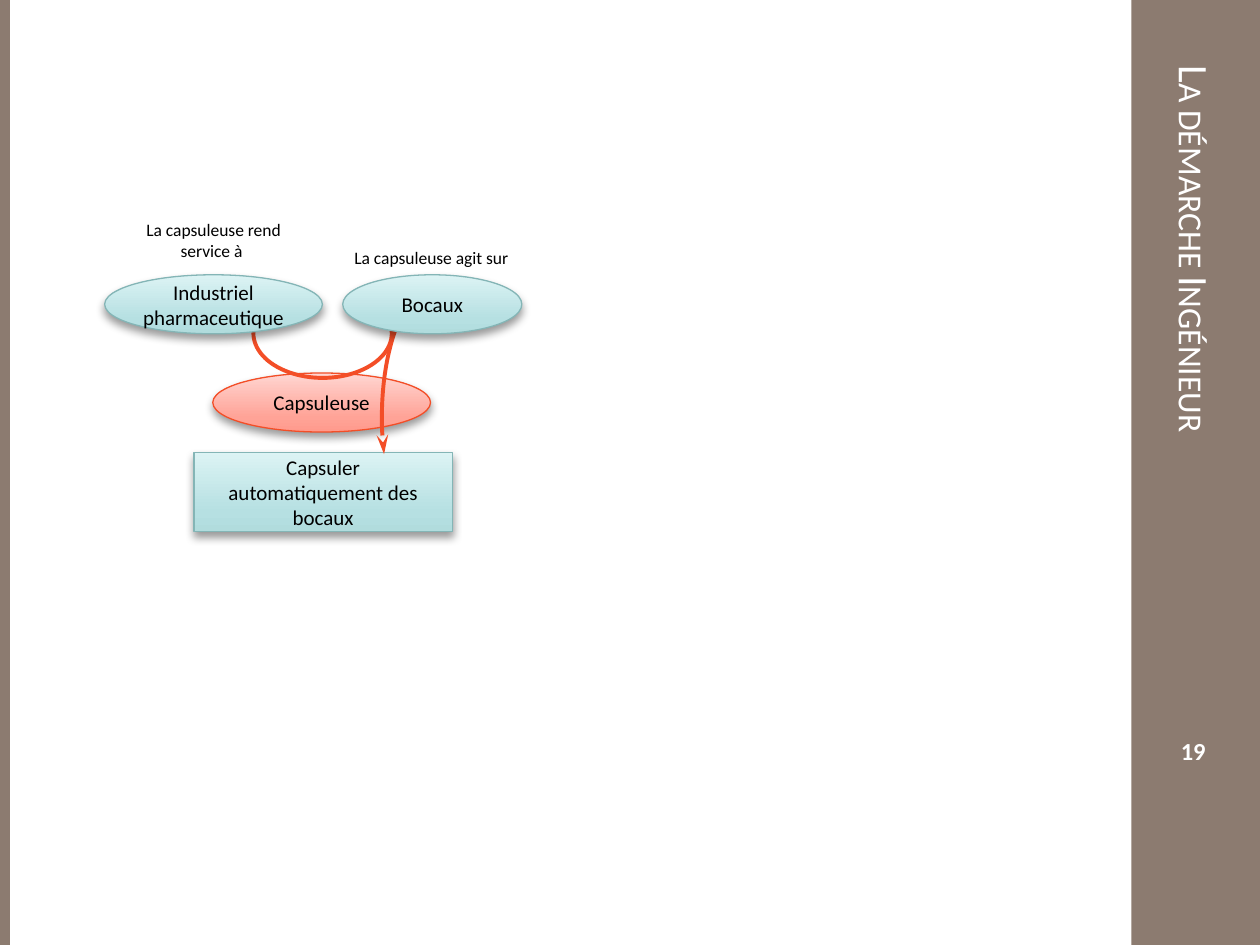
from dataclasses import dataclass

from lxml import etree
from pptx import Presentation
from pptx.dml.color import RGBColor
from pptx.enum.shapes import MSO_SHAPE
from pptx.enum.text import MSO_ANCHOR, MSO_AUTO_SIZE, PP_ALIGN
from pptx.oxml import parse_xml
from pptx.oxml.ns import nsdecls, qn
from pptx.util import Cm, Pt

RECT, OVAL, ARC = MSO_SHAPE.RECTANGLE, MSO_SHAPE.OVAL, MSO_SHAPE.ARC
TOP, MIDDLE = MSO_ANCHOR.TOP, MSO_ANCHOR.MIDDLE
LEFT, CENTER = PP_ALIGN.LEFT, PP_ALIGN.CENTER
NO_FIT = MSO_AUTO_SIZE.NONE
TITLE_ONLY = 5


@dataclass(frozen=True)
class Theme:
    font: str = "Calibri"
    band: str = "8C7B70"
    light: str = "FFFFFF"
    dark: str = "000000"
    accent: str = "F34E27"
    red: tuple = ("F34E27", ("FF9A8C", "FFA397", "FFD6D2"))
    teal: tuple = ("84B5B6", ("B1DCDD", "B6E0E2", "DCF3F4"))
    title: int = 24
    number: int = 14
    node: int = 12
    label: int = 10
    outline: float = 0.75
    link: float = 2.25


THEME = Theme()
STOPS = (0, 25, 100)


def rgb(value):
    return RGBColor.from_string(value)


def place(box, x, y, w, h):
    return Cm(box[0] + x), Cm(box[1] + y), Cm(w), Cm(h)


def write(sp, text, size, color, align=CENTER, anchor=MIDDLE, inset=None, bold=False):
    tf = sp.text_frame
    tf.text = text
    frame = {"word_wrap": True, "auto_size": NO_FIT, "vertical_anchor": anchor}
    if inset is not None:
        for side in ("left", "right", "top", "bottom"):
            frame[f"margin_{side}"] = Cm(inset)
    for name, value in frame.items():
        setattr(tf, name, value)
    p = tf.paragraphs[0]
    p.alignment = align
    r = p.runs[0]
    for name, value in {"name": THEME.font, "size": Pt(size), "bold": bold}.items():
        setattr(r.font, name, value)
    r.font.color.rgb = rgb(color)
    return r


def shade(sp, colors):
    stops = "".join(
        f'<a:gs pos="{pos * 1000}"><a:srgbClr val="{color}"/></a:gs>'
        for pos, color in zip(STOPS, colors)
    )
    sp.fill.background()
    pr = sp._element.spPr
    pr.replace(pr.find(qn("a:noFill")), parse_xml(
        f'<a:gradFill {nsdecls("a")} rotWithShape="1"><a:gsLst>{stops}</a:gsLst>'
        '<a:lin ang="16200000" scaled="0"/></a:gradFill>'
    ))


def drop_shadow(sp):
    sp.shadow.inherit = False
    sp._element.spPr.find(qn("a:effectLst")).append(parse_xml(
        f'<a:outerShdw {nsdecls("a")} blurRad="{Pt(5.2)}" dist="{Pt(3)}" '
        'dir="5400000" rotWithShape="0">'
        f'<a:srgbClr val="{THEME.dark}"><a:alpha val="40000"/></a:srgbClr></a:outerShdw>'
    ))


def add_node(s, box, kind, text, palette, inset=None):
    sp = s.shapes.add_shape(kind, *box)
    line, colors = palette
    shade(sp, colors)
    sp.line.color.rgb = rgb(line)
    sp.line.width = Pt(THEME.outline)
    drop_shadow(sp)
    write(sp, text, THEME.node, THEME.dark, inset=inset)


def add_arc(s, box, angles, arrow=False):
    sp = s.shapes.add_shape(ARC, *box)
    sp.shadow.inherit = False
    sp.fill.background()
    sp.line.color.rgb = rgb(THEME.accent)
    sp.line.width = Pt(THEME.link)
    for i, angle in enumerate(angles):
        sp.adjustments[i] = angle * 0.6
    if arrow:
        pr = sp._element.spPr
        pr.find(qn("a:xfrm")).set("flipH", "1")
        etree.SubElement(pr.find(qn("a:ln")), qn("a:tailEnd"), type="stealth", len="lg")


def add_text(s, box, text, size, color, **style):
    sp = s.shapes.add_textbox(*box)
    write(sp, text, size, color, **style)


def add_band(s, box):
    sp = s.shapes.add_shape(RECT, *box)
    sp.shadow.inherit = False
    sp.fill.solid()
    sp.fill.fore_color.rgb = rgb(THEME.band)
    sp.line.fill.background()


def add_side_title(s, box, title, number):
    width, length, top = 2.59, 16.3, 1.07
    add_band(s, place(box, 0, 0, width, 19.05))
    sp = s.shapes.title
    s.shapes._spTree.append(sp._element)
    shift = (length - width) / 2
    spot = place(box, -shift, top + shift, length, width)
    for name, value in zip(("left", "top", "width", "height"), spot):
        setattr(sp, name, value)
    sp.rotation = 90
    r = write(sp, title, THEME.title, THEME.light, align=LEFT)
    r._r.get_or_add_rPr().set("cap", "small")
    add_text(s, place(box, -0.1, 14.73, 2.69, 0.79), number,
             THEME.number, THEME.light, bold=True)


def add_diagram(s, box):
    add_node(s, place(box, 2.18, 3.23, 4.39, 1.19), OVAL, "Capsuleuse", THEME.red, 0)
    add_node(s, place(box, 1.8, 4.83, 5.21, 1.6), RECT,
             "Capsuler automatiquement des bocaux", THEME.teal)
    add_arc(s, place(box, 3, 1.53, 2.79, 1.8), (344.42, 189.29))
    add_node(s, place(box, 0, 1.25, 4.39, 1.19), OVAL,
             "Industriel pharmaceutique", THEME.teal, 0)
    add_arc(s, place(box, 5.59, 1.4, 2.29, 5.44), (292.37, 34.16), arrow=True)
    add_node(s, place(box, 4.8, 1.25, 3.61, 1.19), OVAL, "Bocaux", THEME.teal, 0)
    labels = (
        ("La capsuleuse rend service à ", (0.2, 0, 3.99, 1.12)),
        ("La capsuleuse agit sur", (4.39, 0.56, 4.39, 0.69)),
    )
    for text, spot in labels:
        add_text(s, place(box, *spot), text, THEME.label, THEME.dark, anchor=TOP)


def main():
    prs = Presentation()
    prs.slide_width, prs.slide_height = Cm(25.4), Cm(19.05)
    s = prs.slides.add_slide(prs.slide_layouts[TITLE_ONLY])
    add_band(s, place((0, 0), 0, 0, 0.2, 19.05))
    add_side_title(s, (22.81, 0), "La démarche Ingénieur", "19")
    add_diagram(s, (2.11, 4.29))
    prs.save("out.pptx")


main()
